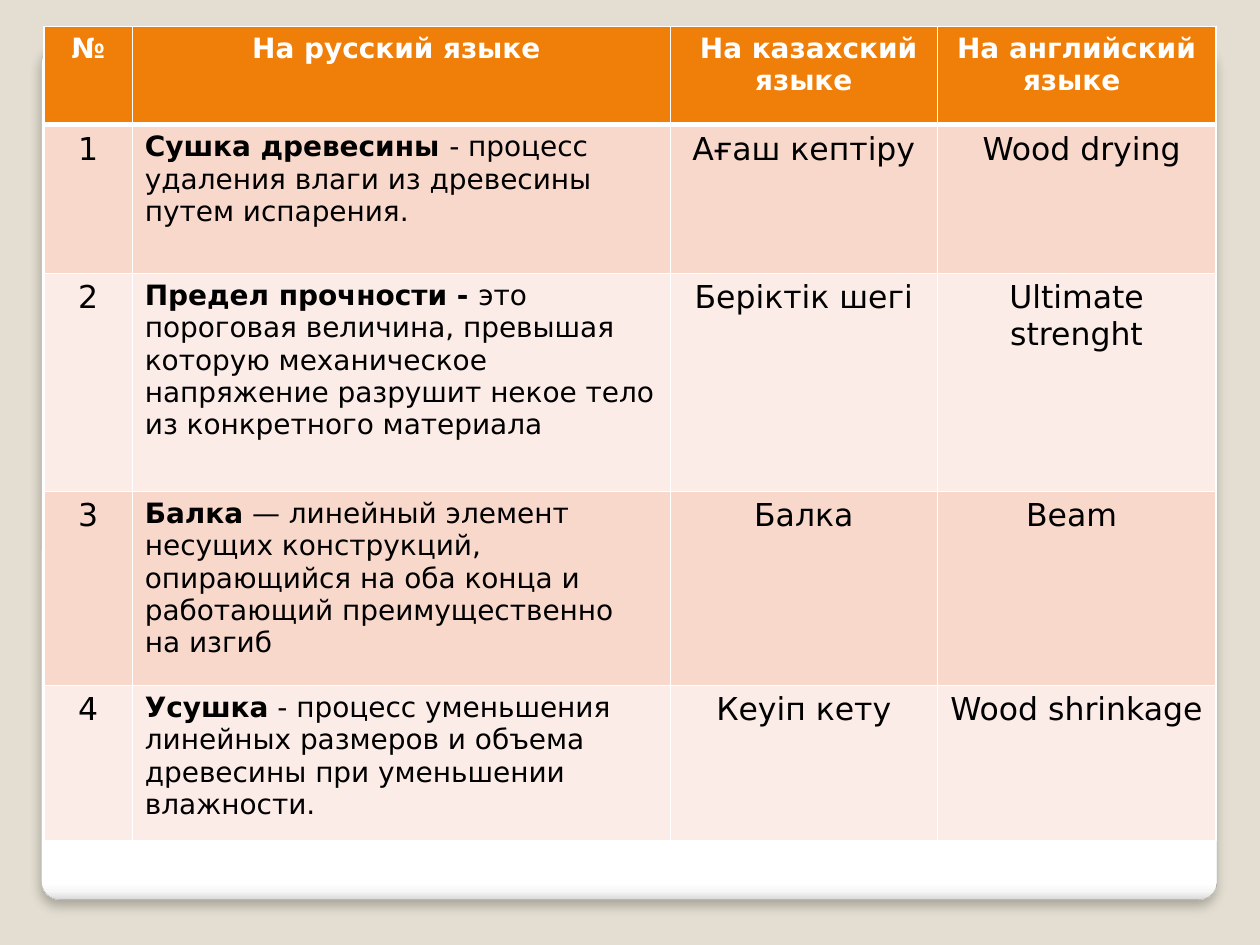
from lxml.etree import SubElement
from pptx import Presentation
from pptx.dml.color import RGBColor
from pptx.enum.shapes import MSO_SHAPE
from pptx.enum.text import PP_ALIGN
from pptx.oxml.ns import qn
from pptx.util import Inches, Pt

FONT = "DejaVu Sans"
COLORS = {
    "background": "E3DED1",
    "header": "F07F09",
    "odd_row": "F9D8CC",
    "even_row": "FCECE7",
    "border": "FFFFFF",
    "header_text": "FFFFFF",
    "body_text": "000000",
    "panel_line": "A4A4A4",
    "shadow": "000000",
}
PANEL_STOPS = [(0, "FFFFFF"), (98, "FFFFFF"), (99, "F7F7F7"), (100, "DADADA")]
COLUMN_WIDTHS = [0.7, 4.27, 2.12, 2.21]
ROW_HEIGHTS = [0.78, 1.18, 1.73, 1.54, 1.23]
HEADINGS = ["№", "На русский языке ", " На казахский языке", "На английский языке "]
# Russian term, its definition, Kazakh term, English term
TERMS = [
    ("Сушка древесины ", "- процесс удаления влаги из древесины путем испарения.",
     "Ағаш кептіру", " Wood drying"),
    ("Предел прочности - ",
     "это пороговая величина, превышая которую механическое напряжение "
     "разрушит некое тело из конкретного материала",
     "Беріктік шегі", "Ultimate strenght"),
    ("Балка",
     " — линейный элемент несущих конструкций, опирающийся на оба конца "
     "и работающий преимущественно на изгиб",
     "Балка", "Beam "),
    ("Усушка",
     " - процесс уменьшения линейных размеров и объема древесины "
     "при уменьшении влажности.",
     "Кеуіп кету", "Wood shrinkage"),
]


def rgb(name):
    return RGBColor.from_string(COLORS[name])


def add_panel(slide):
    """Add the rounded white panel with its soft shadow."""
    panel = slide.shapes.add_shape(
        MSO_SHAPE.ROUNDED_RECTANGLE, Inches(0.33), Inches(0.36), Inches(9.33), Inches(6.78))
    panel.adjustments[0] = 0.021
    panel.line.color.rgb = rgb("panel_line")
    panel.line.width = Pt(0.16)
    panel.fill.gradient()
    panel.fill.gradient_angle = 270
    properties = panel._element.spPr
    stops = properties.find(qn("a:gradFill")).find(qn("a:gsLst"))
    for stop in list(stops):
        stops.remove(stop)
    for position, color in PANEL_STOPS:
        stop = SubElement(stops, qn("a:gs"), pos=str(position * 1000))
        SubElement(stop, qn("a:srgbClr"), val=color)

    panel.shadow.inherit = False
    shadow = SubElement(
        properties.find(qn("a:effectLst")), qn("a:outerShdw"),
        blurRad=str(Pt(6)), dist=str(Pt(4)), dir="5400000", algn="t", rotWithShape="0")
    tint = SubElement(shadow, qn("a:srgbClr"), val=COLORS["shadow"])
    SubElement(tint, qn("a:alpha"), val="25000")


def set_borders(cell, top, bottom):
    """Draw all four cell edges; widths are in points."""
    properties = cell._tc.get_or_add_tcPr()
    for edge, width in (("lnL", 1), ("lnR", 1), ("lnT", top), ("lnB", bottom)):
        line = SubElement(properties, qn(f"a:{edge}"), w=str(Pt(width)))
        fill = SubElement(line, qn("a:solidFill"))
        SubElement(fill, qn("a:srgbClr"), val=COLORS["border"])


def fill_cell(cell, runs, size, color, align):
    """Write (text, bold) runs into the cell."""
    paragraph = cell.text_frame.paragraphs[0]
    paragraph.alignment = align
    for text, bold in runs:
        run = paragraph.add_run()
        run.text = text
        run.font.name = FONT
        run.font.size = Pt(size)
        run.font.bold = bold
        run.font.color.rgb = rgb(color)


def add_glossary(slide):
    glossary = slide.shapes.add_table(
        len(ROW_HEIGHTS), len(COLUMN_WIDTHS), Inches(0.35), Inches(0.21),
        Inches(sum(COLUMN_WIDTHS)), Inches(sum(ROW_HEIGHTS))).table
    for column, width in zip(glossary.columns, COLUMN_WIDTHS):
        column.width = Inches(width)
    for row, height in zip(glossary.rows, ROW_HEIGHTS):
        row.height = Inches(height)

    for column, heading in enumerate(HEADINGS):
        fill_cell(glossary.cell(0, column), [(heading, True)], 16,
                  "header_text", PP_ALIGN.CENTER)
    for number, (term, definition, kazakh, english) in enumerate(TERMS, 1):
        fill_cell(glossary.cell(number, 1), [(term, True), (definition, False)], 16,
                  "body_text", PP_ALIGN.LEFT)
        for column, text in ((0, str(number)), (2, kazakh), (3, english)):
            fill_cell(glossary.cell(number, column), [(text, False)], 18,
                      "body_text", PP_ALIGN.CENTER)

    for index, row in enumerate(glossary.rows):
        background = "header" if index == 0 else "odd_row" if index % 2 else "even_row"
        for cell in row.cells:
            set_borders(cell, top=3 if index == 1 else 1, bottom=3 if index == 0 else 1)
            cell.fill.solid()
            cell.fill.fore_color.rgb = rgb(background)


def main():
    presentation = Presentation()
    presentation.slide_width = Inches(10)
    presentation.slide_height = Inches(7.5)
    slide = presentation.slides.add_slide(presentation.slide_layouts[6])
    slide.background.fill.solid()
    slide.background.fill.fore_color.rgb = rgb("background")
    add_panel(slide)
    add_glossary(slide)
    presentation.save("out.pptx")


if __name__ == "__main__":
    main()
